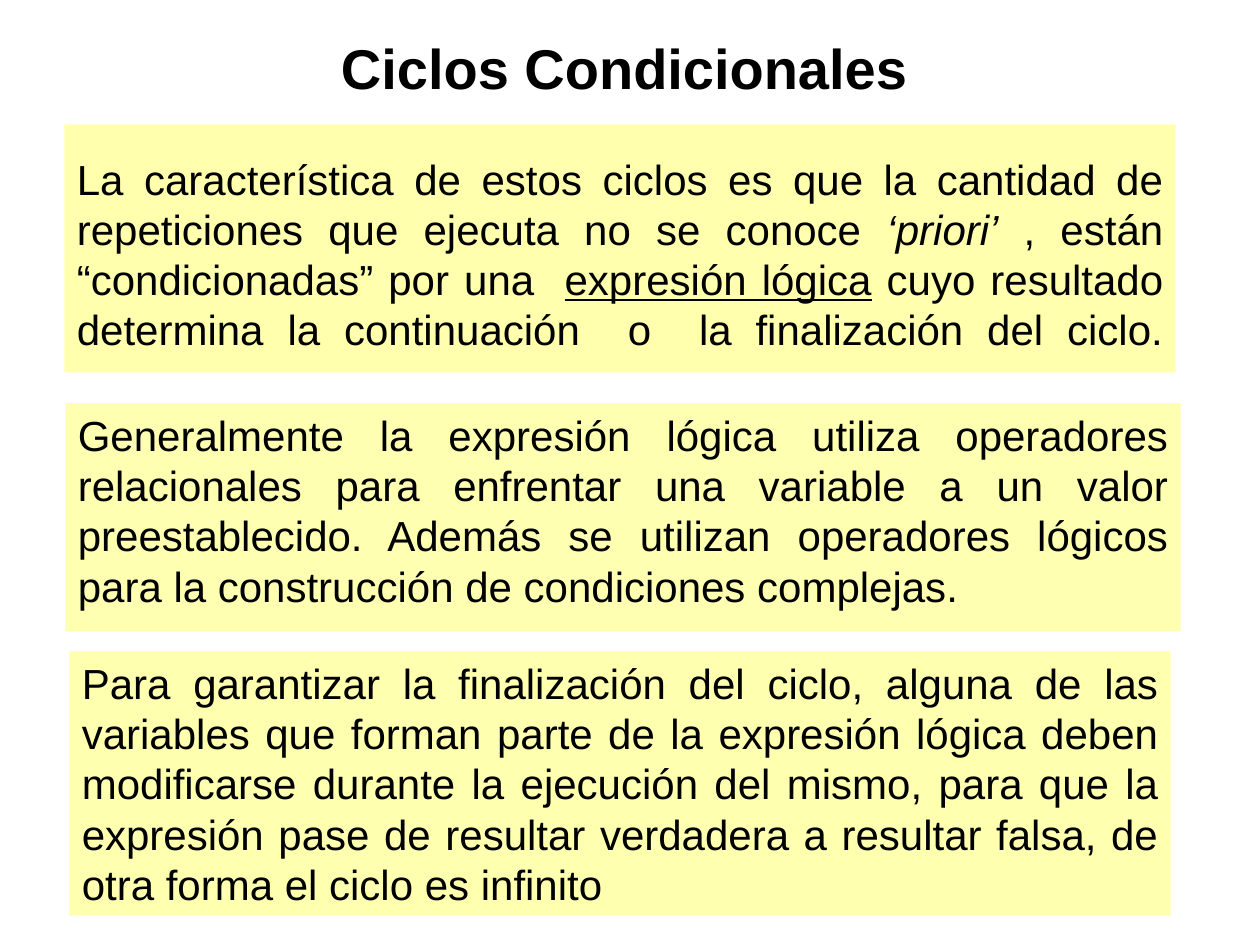
"""Build the slide on conditional loops: a heading above three tinted panels."""
from dataclasses import dataclass

from lxml.etree import SubElement
from pptx import Presentation
from pptx.dml.color import RGBColor
from pptx.enum.shapes import MSO_SHAPE as Shape
from pptx.enum.text import MSO_ANCHOR as Anchor, MSO_AUTO_SIZE as AutoSize, PP_ALIGN as Align
from pptx.oxml.ns import qn
from pptx.slide import Slide
from pptx.text.text import _Paragraph as Paragraph
from pptx.util import Cm, Pt

COLORS = {"text": "000000", "panel": "FFFF00"}
FONT = "Arial"


@dataclass(frozen=True)
class Phrase:
    text: str
    italic: bool = False
    underline: bool = False
    bold: bool = False


@dataclass(frozen=True)
class Panel:
    left: float
    top: float
    width: float
    height: float
    opacity: int
    phrases: tuple[Phrase, ...]
    top_inset: float = 0.13
    full_last_line: bool = False


PANELS = (
    Panel(1.3, 2.51, 22.4, 5.0, 32, (
        Phrase("La característica de estos ciclos es que la cantidad de "
               "repeticiones que ejecuta no se conoce "),
        Phrase("‘priori’", italic=True),
        Phrase(" , están “condicionadas” por una  "),
        Phrase("expresión lógica", underline=True),
        Phrase(" cuyo resultado determina la continuación  o  la finalización del ciclo."),
    ), top_inset=0.58, full_last_line=True),
    Panel(1.32, 8.13, 22.48, 4.6, 30, (
        Phrase("Generalmente la expresión lógica utiliza operadores relacionales para "
               "enfrentar una variable a un valor preestablecido. Además se utilizan "
               "operadores lógicos para la construcción de condiciones complejas."),
    )),
    Panel(1.4, 13.13, 22.2, 5.33, 31, (
        Phrase("Para garantizar la finalización del ciclo, alguna de las variables que "
               "forman parte de la expresión lógica deben modificarse durante la ejecución "
               "del mismo, para que la expresión pase de resultar verdadera a resultar "
               "falsa, de otra forma el ciclo es infinito"),
    )),
)


def add_phrase(paragraph: Paragraph, phrase: Phrase, size: int) -> None:
    """Append one formatted run to the paragraph."""
    run = paragraph.add_run()
    run.text = phrase.text
    font = run.font
    font.name, font.size = FONT, Pt(size)
    font.bold, font.italic, font.underline = phrase.bold, phrase.italic, phrase.underline
    font.color.rgb = RGBColor.from_string(COLORS["text"])


def add_heading(slide: Slide, heading: str) -> None:
    """Place the heading in the title placeholder."""
    title = slide.shapes.title
    title.left, title.top, title.width, title.height = Cm(2.39), Cm(0.53), Cm(20.4), Cm(1.63)
    frame = title.text_frame
    frame.auto_size = AutoSize.NONE
    frame.vertical_anchor = Anchor.MIDDLE
    paragraph = frame.paragraphs[0]
    paragraph.alignment = Align.CENTER
    add_phrase(paragraph, Phrase(heading, bold=True), 32)


def add_panel(slide: Slide, panel: Panel) -> None:
    """Draw a translucent panel holding one justified paragraph."""
    box = slide.shapes.add_shape(
        Shape.RECTANGLE, Cm(panel.left), Cm(panel.top), Cm(panel.width), Cm(panel.height))
    box.shadow.inherit = False
    box.line.fill.background()
    box.fill.solid()
    box.fill.fore_color.rgb = RGBColor.from_string(COLORS["panel"])
    tint = box.fill._xPr.find(qn("a:solidFill")).find(qn("a:srgbClr"))
    SubElement(tint, qn("a:alpha"), val=str(panel.opacity * 1000))

    frame = box.text_frame
    frame.word_wrap = True
    frame.vertical_anchor = Anchor.TOP
    frame.margin_top = Cm(panel.top_inset)
    paragraph = frame.paragraphs[0]
    paragraph.alignment = Align.JUSTIFY
    paragraph.line_spacing = Pt(28.7)
    for phrase in panel.phrases:
        add_phrase(paragraph, phrase, 24)
    if panel.full_last_line:
        paragraph.add_line_break()


def main() -> None:
    """Assemble and save the presentation."""
    deck = Presentation()
    deck.slide_width, deck.slide_height = Cm(25.4), Cm(19.05)
    slide = deck.slides.add_slide(deck.slide_layouts.get_by_name("Title Only"))
    add_heading(slide, "Ciclos Condicionales")
    for panel in PANELS:
        add_panel(slide, panel)
    deck.save("out.pptx")


if __name__ == "__main__":
    main()
